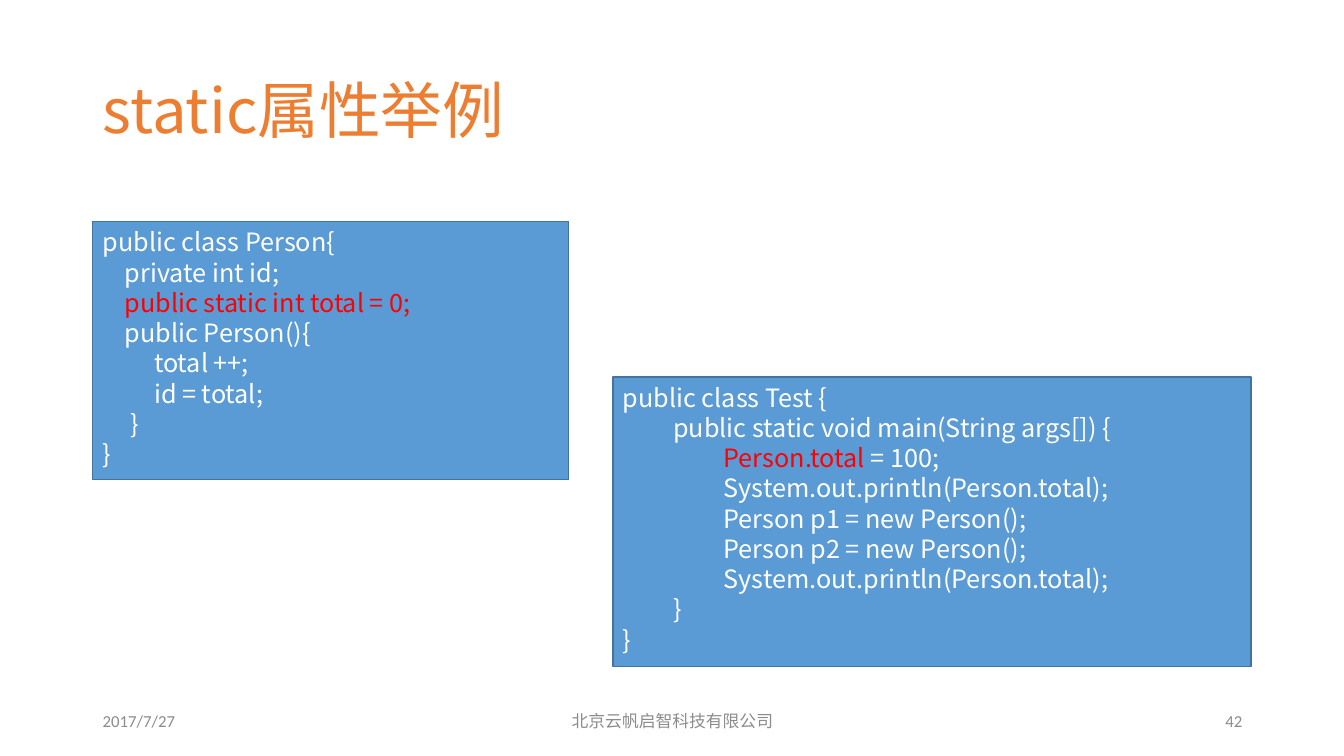
from pptx import Presentation
from pptx import util as u
from pptx.dml.color import RGBColor
from pptx.enum import shapes, text
from pptx.oxml import parse_xml
from pptx.oxml.ns import nsdecls

WHITE = RGBColor(0xFF, 0xFF, 0xFF)
RED = RGBColor(0xFF, 0, 0)
ORANGE = RGBColor(0xED, 0x7D, 0x31)
BLUE = RGBColor(0x5B, 0x9B, 0xD5)
EDGE = RGBColor(0x43, 0x73, 0x9E)
GRAY = RGBColor(0x8C, 0x8C, 0x8C)
HAN = "Noto Sans CJK SC"
LATIN = "Calibri"
ALIGN = text.PP_ALIGN

PERSON = [
    (0, [("public class Person{", WHITE)]),
    (0.22, [("private int id;", WHITE)]),
    (0.22, [("public static int total = 0;", RED)]),
    (0.22, [("public Person(){", WHITE)]),
    (0.51, [("total ++;", WHITE)]),
    (0.51, [("id = total;", WHITE)]),
    (0.28, [("}", WHITE)]),
    (0, [("}", WHITE)]),
]
TEST = [
    (0, [("public class Test {", WHITE)]),
    (0.5, [("public static void main(String args[]) {", WHITE)]),
    (1, [("Person.total", RED), (" = 100;", WHITE)]),
    (1, [("System.out.println(Person.total);", WHITE)]),
    (1, [("Person p1 = new Person();", WHITE)]),
    (1, [("Person p2 = new Person();", WHITE)]),
    (1, [("System.out.println(Person.total);", WHITE)]),
    (0.5, [("}", WHITE)]),
    (0, [("}", WHITE)]),
]
FOOTER = [
    (0.92, 3, "2017/7/27", LATIN, ALIGN.LEFT),
    (4.42, 4.5, "北京云帆启智科技有限公司", HAN, ALIGN.CENTER),
    (9.42, 3, "42", LATIN, ALIGN.RIGHT),
]


def add_run(para, words, size, color, face=HAN):
    run = para.add_run()
    run.text = words
    font = run.font
    font.size = u.Pt(size)
    font.color.rgb = color
    font.name = face
    east = parse_xml(f'<a:ea {nsdecls("a")} typeface="{face}"/>')
    font._element.append(east)


def add_title(slide, words):
    title = slide.shapes.title
    title.left, title.top = u.Inches(0.92), u.Inches(0.4)
    title.width, title.height = u.Inches(8.69), u.Inches(1.45)
    frame = title.text_frame
    frame.vertical_anchor = text.MSO_ANCHOR.MIDDLE
    para = frame.paragraphs[0]
    para.alignment = ALIGN.LEFT
    para.line_spacing = 0.9
    add_run(para, words, 44, ORANGE)


def add_code(slide, left, top, width, height, lines):
    box = slide.shapes.add_shape(
        shapes.MSO_SHAPE.RECTANGLE,
        u.Inches(left), u.Inches(top), u.Inches(width), u.Inches(height))
    box.shadow.inherit = False
    box.fill.solid()
    box.fill.fore_color.rgb = BLUE
    box.line.color.rgb = EDGE
    box.line.width = u.Pt(1)
    frame = box.text_frame
    frame.word_wrap = True
    frame.vertical_anchor = text.MSO_ANCHOR.TOP
    for i, (indent, runs) in enumerate(lines):
        para = frame.add_paragraph() if i else frame.paragraphs[0]
        para.alignment = ALIGN.JUSTIFY
        para.line_spacing = u.Pt(21.6)
        props = para._p.get_or_add_pPr()
        props.set("marL", str(u.Inches(indent)))
        props.set("indent", "0")
        for words, color in runs:
            add_run(para, words, 18, color)


def add_note(slide, left, width, words, face, align):
    box = slide.shapes.add_textbox(
        u.Inches(left), u.Inches(6.95), u.Inches(width), u.Inches(0.4))
    frame = box.text_frame
    frame.word_wrap = True
    frame.vertical_anchor = text.MSO_ANCHOR.MIDDLE
    para = frame.paragraphs[0]
    para.alignment = align
    add_run(para, words, 12, GRAY, face)


def main():
    deck = Presentation()
    deck.slide_width = u.Inches(13.33)
    deck.slide_height = u.Inches(7.5)
    slide = deck.slides.add_slide(deck.slide_layouts[5])
    add_title(slide, "static属性举例")
    for item in FOOTER:
        add_note(slide, *item)
    add_code(slide, 0.92, 2.2, 4.72, 2.56, PERSON)
    add_code(slide, 6.08, 3.74, 6.33, 2.87, TEST)
    deck.save("out.pptx")


if __name__ == "__main__":
    main()
